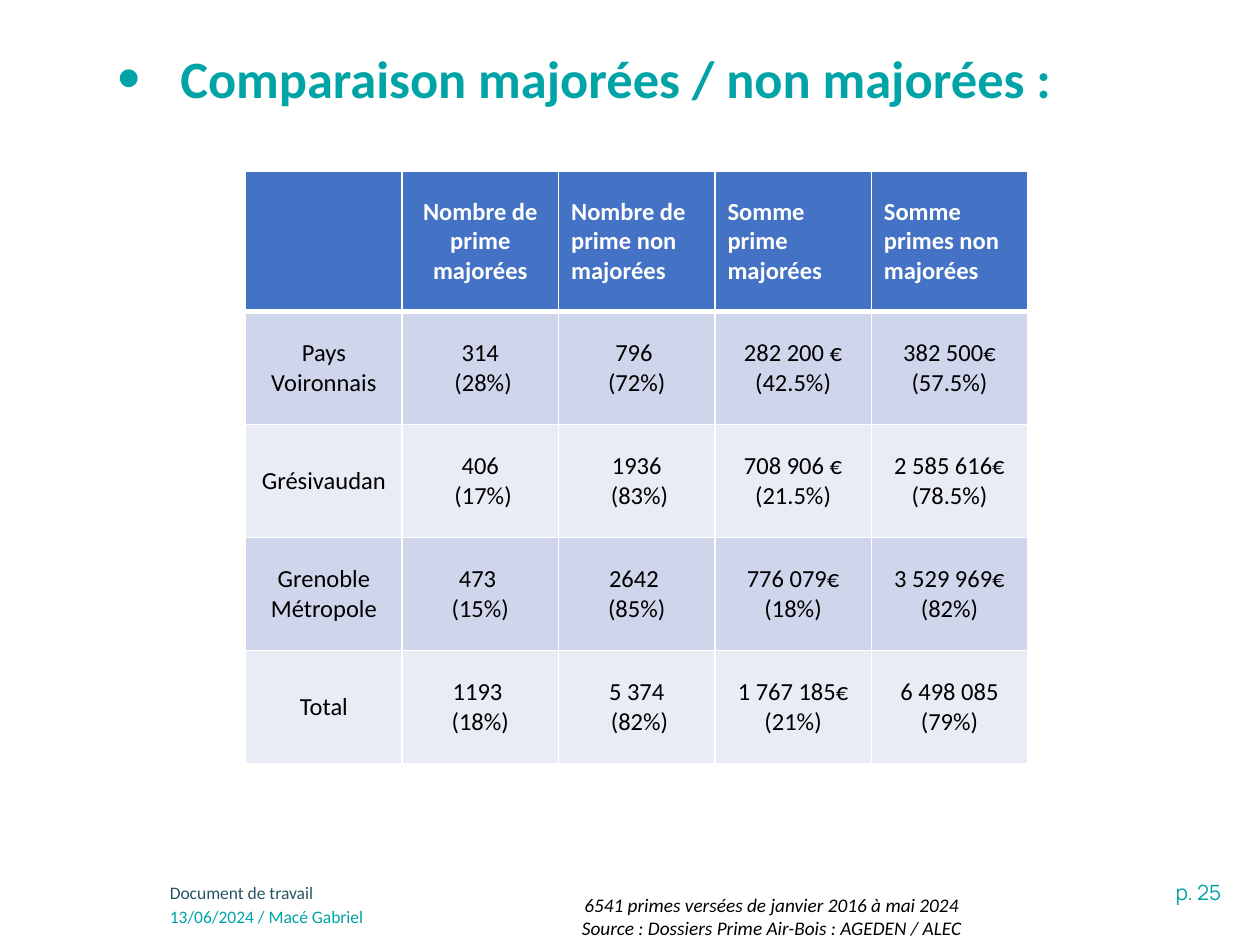
from dataclasses import dataclass

import pptx
import pptx.dml.color
import pptx.enum.text
import pptx.oxml
import pptx.oxml.ns
import pptx.util

Pt = pptx.util.Pt
Align = pptx.enum.text.PP_ALIGN
Anchor = pptx.enum.text.MSO_ANCHOR

COLORS = {
    "teal": "00A3A6",
    "slate": "275662",
    "header": "4472C4",
    "band_dark": "CFD5EA",
    "band_light": "E9EBF5",
    "white": "FFFFFF",
    "black": "000000",
}
COLUMN_WIDTH = 89.4
HEADER_HEIGHT = 80
ROW_HEIGHT = 64.6

HEADERS = [
    "",
    "Nombre de prime majorées",
    "Nombre de prime non majorées",
    "Somme prime majorées",
    "Somme primes non majorées",
]
ROWS = [
    ["Pays Voironnais", "314\n (28%)", "796 \n(72%)", "282 200 € (42.5%)", "382 500€ (57.5%)"],
    ["Grésivaudan", "406\n (17%)", "1936\n (83%)", "708 906 € (21.5%)", "2 585 616€ (78.5%)"],
    ["Grenoble Métropole", "473 \n(15%)", "2642 \n(85%)", "776 079€ (18%)", "3 529 969€ (82%)"],
    ["Total", "1193 \n(18%)", "5 374\n (82%)", "1 767 185€ (21%)", "6 498 085 (79%)"],
]


@dataclass
class Label:
    text: str
    left: float
    top: float
    width: float
    height: float
    size: float
    color: str
    font: str = "Calibri"
    italic: bool = False
    align: Align = Align.LEFT


LABELS = [
    Label("p. 25", 540.7, 499, 164.2, 21.6, 12, "teal", font="Manrope", align=Align.RIGHT),
    Label("Document de travail", 90, 500.4, 528.5, 20.2, 10, "slate"),
    Label("13/06/2024 / Macé Gabriel", 90, 514.1, 528.5, 20.2, 10, "teal"),
    Label(
        "6541 primes versées de janvier 2016 à mai 2024\n"
        "Source : Dossiers Prime Air-Bois : AGEDEN / ALEC",
        304.6, 506.9, 272.9, 47.5, 11, "black", italic=True, align=Align.CENTER,
    ),
]


def rgb(name: str) -> pptx.dml.color.RGBColor:
    return pptx.dml.color.RGBColor.from_string(COLORS[name])


def write_text(frame, text: str, *, size: float, color: str, font: str = "Calibri",
               bold: bool = False, italic: bool = False, align: Align = Align.LEFT) -> None:
    """Fill a text frame, one paragraph per line of text."""
    frame.word_wrap = True
    for index, line in enumerate(text.split("\n")):
        para = frame.paragraphs[0] if index == 0 else frame.add_paragraph()
        para.alignment = align
        span = para.add_run()
        span.text = line
        span.font.name = font
        span.font.size = Pt(size)
        span.font.bold = bold
        span.font.italic = italic
        span.font.color.rgb = rgb(color)


def add_label(page, label: Label) -> None:
    box = page.shapes.add_textbox(
        Pt(label.left), Pt(label.top), Pt(label.width), Pt(label.height))
    write_text(box.text_frame, label.text, size=label.size, color=label.color,
               font=label.font, italic=label.italic, align=label.align)


def add_bullet(para, indent: float, percent: int) -> None:
    properties = para._p.get_or_add_pPr()
    properties.set("marL", str(Pt(indent)))
    properties.set("indent", str(-Pt(indent)))
    namespace = pptx.oxml.ns.nsdecls("a")
    for markup in (f'<a:buSzPct {namespace} val="{percent * 1000}"/>',
                   f'<a:buFont {namespace} typeface="Arial"/>',
                   f'<a:buChar {namespace} char="•"/>'):
        properties.append(pptx.oxml.parse_xml(markup))


def add_title(page) -> None:
    box = page.shapes.add_textbox(Pt(67), Pt(11.5), Pt(603.4), Pt(69.8))
    frame = box.text_frame
    frame.margin_left = 0
    frame.vertical_anchor = Anchor.MIDDLE
    para = frame.paragraphs[0]
    para.line_spacing = 0.9
    add_bullet(para, 36, 125)
    write_text(frame, "Comparaison majorées / non majorées :",
               size=30, color="teal", bold=True)


def set_borders(cell, **widths: float) -> None:
    """Draw white cell borders; call before the fill, which must follow them in the XML."""
    properties = cell._tc.get_or_add_tcPr()
    namespace = pptx.oxml.ns.nsdecls("a")
    for side, width in widths.items():
        properties.append(pptx.oxml.parse_xml(
            f'<a:{side} {namespace} w="{Pt(width)}"><a:solidFill>'
            f'<a:srgbClr val="{COLORS["white"]}"/></a:solidFill></a:{side}>'))


def add_comparison_table(page) -> None:
    contents = [HEADERS, *ROWS]
    heights = [HEADER_HEIGHT] + [ROW_HEIGHT] * len(ROWS)
    table = page.shapes.add_table(
        len(contents), len(HEADERS), Pt(140.4), Pt(98),
        Pt(COLUMN_WIDTH * len(HEADERS)), Pt(sum(heights))).table
    for column in table.columns:
        column.width = Pt(COLUMN_WIDTH)
    for row_index, texts in enumerate(contents):
        table.rows[row_index].height = Pt(heights[row_index])
        is_header = row_index == 0
        band = "band_dark" if row_index % 2 else "band_light"
        for column_index, text in enumerate(texts):
            cell = table.cell(row_index, column_index)
            set_borders(cell, lnL=1, lnR=1, lnT=3 if row_index == 1 else 1,
                        lnB=3 if is_header else 1)
            cell.fill.solid()
            cell.fill.fore_color.rgb = rgb("header" if is_header else band)
            cell.vertical_anchor = Anchor.MIDDLE
            if text:
                left_aligned = is_header and column_index > 1
                write_text(cell.text_frame, text, size=14, bold=is_header,
                           color="white" if is_header else "black",
                           align=Align.LEFT if left_aligned else Align.CENTER)


def main() -> None:
    deck = pptx.Presentation()
    deck.slide_width, deck.slide_height = Pt(720), Pt(540)
    page = deck.slides.add_slide(deck.slide_layouts[6])
    add_title(page)
    add_comparison_table(page)
    for label in LABELS:
        add_label(page, label)
    deck.save("out.pptx")


if __name__ == "__main__":
    main()
